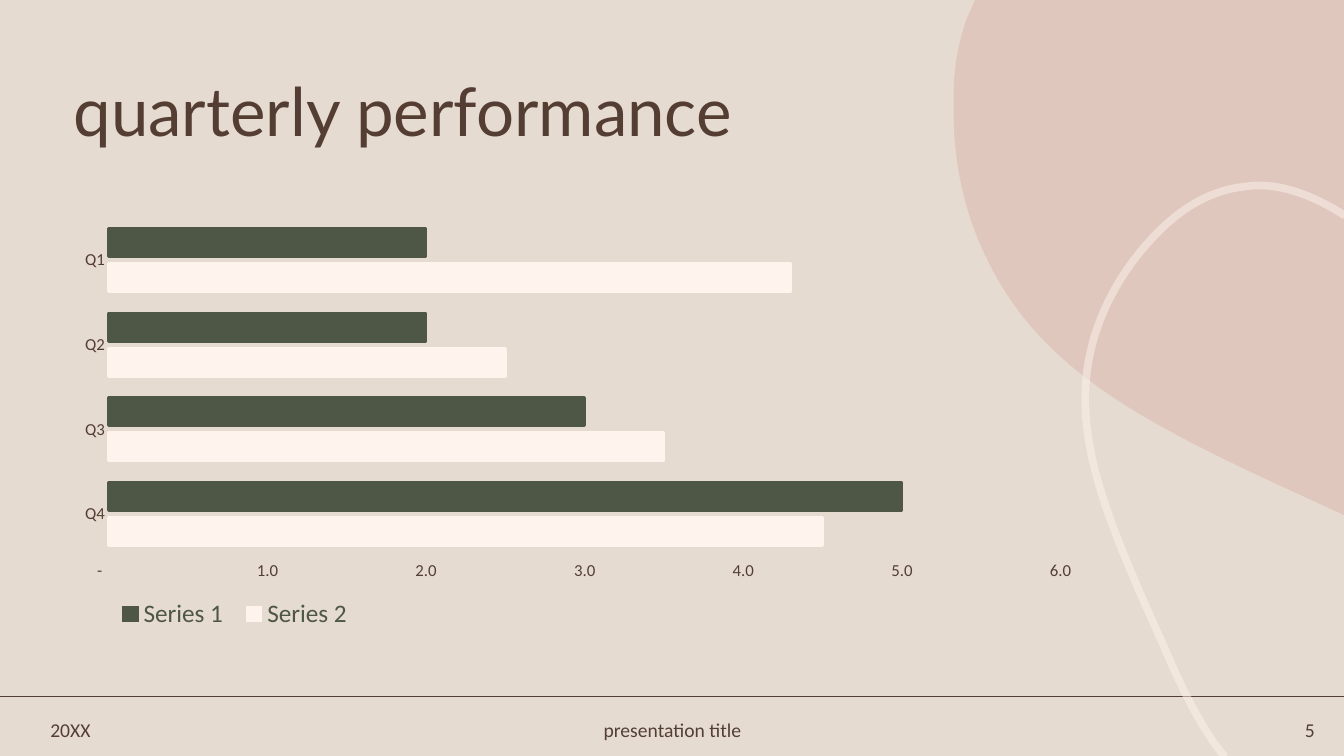
"""Build the quarterly performance slide with its bar chart."""
from lxml import etree
from pptx import Presentation
from pptx.chart.data import CategoryChartData
from pptx.dml.color import RGBColor
from pptx.enum import chart as charts, shapes, text
from pptx.oxml import parse_xml
from pptx.oxml.ns import nsdecls, qn
from pptx.util import Inches, Pt

COLORS = {"sand": "E6DBD0", "brown": "543E34", "rose": "CF9B92",
          "cream": "FEF3ED", "green": "4E5745"}
WIDTH, HEIGHT = 13.33, 7.5
TITLE = ("quarterly performance", (0.63, 0.77, 11.5, 0.74), 48, "Lato", "LEFT")
FOOTERS = [("20XX", 0.4, 1.08, "LEFT"), ("presentation title", 4.79, 3.76, "CENTER"),
           ("5", 12.06, 1.08, "RIGHT")]
FOOTER_TOP, FOOTER_HEIGHT, RULE_Y = 7.07, 0.34, 6.91
CHART_BOX = (0.63, 2.08, 10.24, 4.24)
PLOT_BOX = (0.45, 0.08, 9.44, 3.36)
LEGEND_BOX = (0.44, 3.8, 2.52, 0.42)
QUARTERS = ["Q4", "Q3", "Q2", "Q1"]
SERIES = [("Series 2", (4.5, 3.5, 2.5, 4.3), "cream"),
          ("Series 1", (5, 3, 2, 2), "green")]
NUMBER_FORMAT = r'_(* #,##0.0_);_(* \(#,##0.0\);_(* "-"??_);_(@_)'
BLOB_BOX = (9.46, 0, 3.88, 5.11)
BLOB = [(9.67, 0), [(13.33, 0)], [(13.33, 5.11)], [(13.07, 4.99)],
        [(11.36, 4.21), (10.32, 3.69), (9.78, 2.55)],
        [(9.48, 1.93), (9.45, 1.35), (9.46, 1.01)],
        [(9.45, 0.79), (9.48, 0.49), (9.59, 0.18)]]
LOOP_BOX = (10.77, 1.84, 2.58, 5.67)
LOOP = [(12.15, 7.51), [(11.98, 7.31), (11.79, 6.99), (11.56, 6.45)],
        [(10.94, 5.07), (10.58, 4.24), (10.86, 3.32)],
        [(11.01, 2.85), (11.27, 2.53), (11.44, 2.35)],
        [(11.61, 2.17), (11.92, 1.89), (12.36, 1.85)],
        [(12.41, 1.84), (12.47, 1.84), (12.52, 1.84)],
        [(12.79, 1.85), (13.08, 1.97), (13.34, 2.14)]]


def rgb(name):
    return RGBColor.from_string(COLORS[name])


def set_font(font, size, color, face="Calibri"):
    font.size, font.name, font.color.rgb = Pt(size), face, rgb(color)


def set_alpha(fill, percent):
    color = fill._xPr.find(".//" + qn("a:srgbClr"))
    etree.SubElement(color, qn("a:alpha")).set("val", str(percent * 1000))


def add_outline(slide, outline, box, close):
    start, *segments = outline
    ends = [tuple(map(Inches, segment[-1])) for segment in segments]
    builder = slide.shapes.build_freeform(*map(Inches, start))
    builder.add_line_segments(ends, close=close)
    shape = builder.convert_to_shape()
    shape.shadow.inherit = False
    left, top, width, height = map(Inches, box)
    shape.left, shape.top, shape.width, shape.height = left, top, width, height
    route = shape._element.spPr.find(".//" + qn("a:path"))
    route.set("w", str(width))
    route.set("h", str(height))
    for step, points in zip(list(route), [[start], *segments]):
        if len(points) == 3:
            step.tag = qn("a:cubicBezTo")
        for old in list(step):
            step.remove(old)
        for x, y in points:
            point = etree.SubElement(step, qn("a:pt"))
            point.set("x", str(Inches(x) - left))
            point.set("y", str(Inches(y) - top))
    return shape


def add_text(slide, words, box, size, face, align):
    frame = slide.shapes.add_textbox(*map(Inches, box)).text_frame
    frame.word_wrap = True
    frame.vertical_anchor = text.MSO_ANCHOR.MIDDLE
    paragraph = frame.paragraphs[0]
    paragraph.text = words
    paragraph.alignment = getattr(text.PP_ALIGN, align)
    set_font(paragraph.font, size, "brown", face)
    return paragraph


def set_layout(parent, before, box, inner=False):
    for old in parent.findall(qn("c:layout")):
        parent.remove(old)
    shares = [length / CHART_BOX[2 + i % 2] for i, length in enumerate(box)]
    target = '<c:layoutTarget val="inner"/>' if inner else ""
    modes = "".join(f'<c:{axis}Mode val="edge"/>' for axis in "xy")
    places = "".join(f'<c:{key} val="{share:.4f}"/>' for key, share in zip("xywh", shares))
    parent.insert(before, parse_xml(
        f'<c:layout {nsdecls("c")}><c:manualLayout>{target}{modes}{places}'
        '</c:manualLayout></c:layout>'))


def add_performance_chart(slide):
    data = CategoryChartData()
    data.categories = QUARTERS
    for name, values, _ in SERIES:
        data.add_series(name, values)
    chart = slide.shapes.add_chart(charts.XL_CHART_TYPE.BAR_CLUSTERED,
                                   *map(Inches, CHART_BOX), data).chart
    chart.has_title = False
    set_font(chart.font, 10, "brown")
    for axis in (chart.category_axis, chart.value_axis):
        axis.has_major_gridlines = False
        axis.major_tick_mark = axis.minor_tick_mark = charts.XL_TICK_MARK.NONE
        axis.format.line.fill.background()
        set_font(axis.tick_labels.font, 12, "brown")
    scale = chart.value_axis
    scale.minimum_scale, scale.maximum_scale, scale.major_unit = 0, 6, 1
    scale.tick_labels.number_format = NUMBER_FORMAT
    scale.tick_labels.number_format_is_linked = False
    plot = chart.plots[0]
    plot.gap_width, plot.overlap, plot.vary_by_categories = 75, -25, False
    for bars, (_, _, color) in zip(plot.series, SERIES):
        bars.format.fill.solid()
        bars.format.fill.fore_color.rgb = bars.format.line.color.rgb = rgb(color)
        bars.format.line.width = Pt(2)
    chart.has_legend = True
    legend = chart.legend
    legend.position = charts.XL_LEGEND_POSITION.BOTTOM
    legend.include_in_layout = False
    set_font(legend.font, 18, "green")
    root = chart._chartSpace
    set_layout(root.find(".//" + qn("c:plotArea")), 0, PLOT_BOX, inner=True)
    set_layout(root.find(".//" + qn("c:legend")), 1, LEGEND_BOX)


def main():
    deck = Presentation()
    deck.slide_width, deck.slide_height = Inches(WIDTH), Inches(HEIGHT)
    slide = deck.slides.add_slide(deck.slide_layouts[6])
    slide.background.fill.solid()
    slide.background.fill.fore_color.rgb = rgb("sand")

    rule = slide.shapes.add_connector(shapes.MSO_CONNECTOR.STRAIGHT, 0, Inches(RULE_Y),
                                      Inches(WIDTH), Inches(RULE_Y))
    rule.line.color.rgb, rule.line.width = rgb("brown"), Pt(1.25)
    etree.SubElement(rule._element.spPr, qn("a:effectLst"))

    blob = add_outline(slide, BLOB, BLOB_BOX, close=True)
    blob.fill.solid()
    blob.fill.fore_color.rgb = rgb("rose")
    set_alpha(blob.fill, 30)
    blob.line.fill.background()

    loop = add_outline(slide, LOOP, LOOP_BOX, close=False)
    loop.fill.background()
    loop.line.color.rgb, loop.line.width = rgb("cream"), Pt(5.5)
    set_alpha(loop.line.fill, 50)

    add_text(slide, *TITLE).line_spacing = 0.9
    add_performance_chart(slide)
    for words, left, width, align in FOOTERS:
        add_text(slide, words, (left, FOOTER_TOP, width, FOOTER_HEIGHT), 14, "Calibri", align)
    deck.save("out.pptx")


if __name__ == "__main__":
    main()
